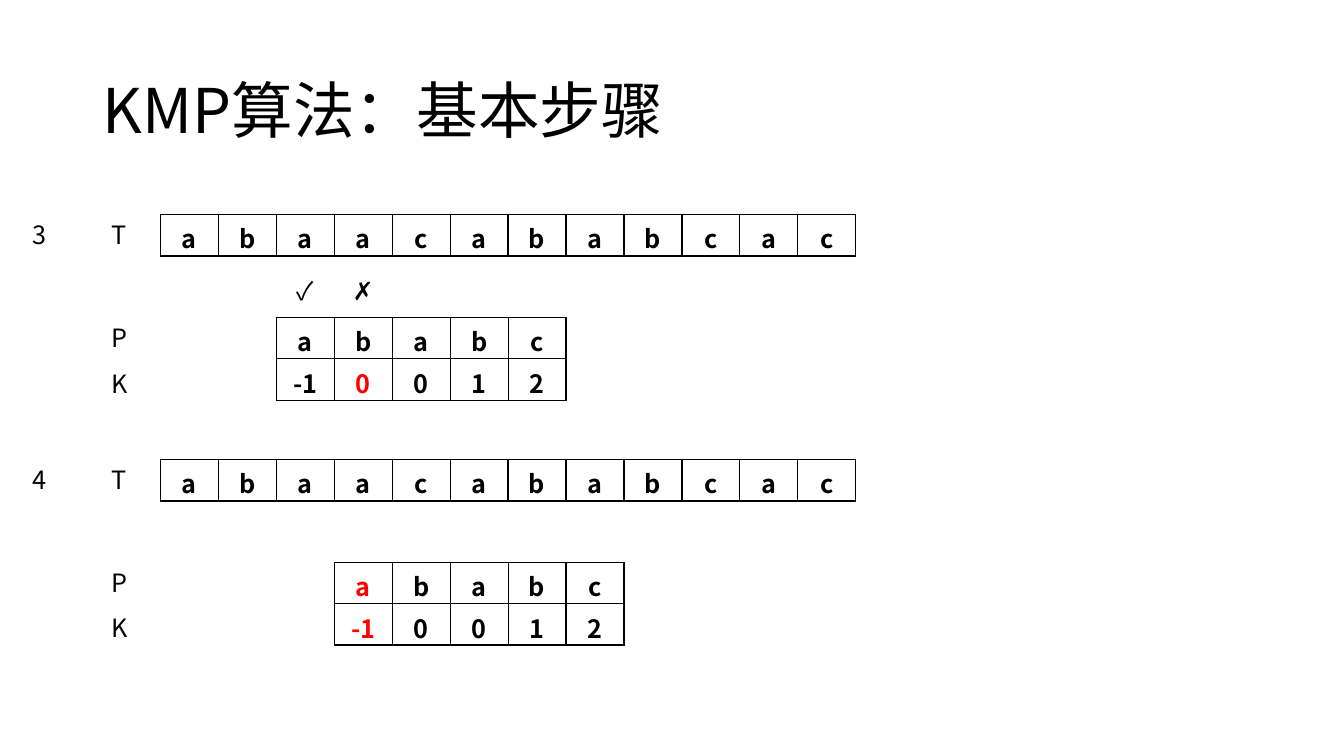
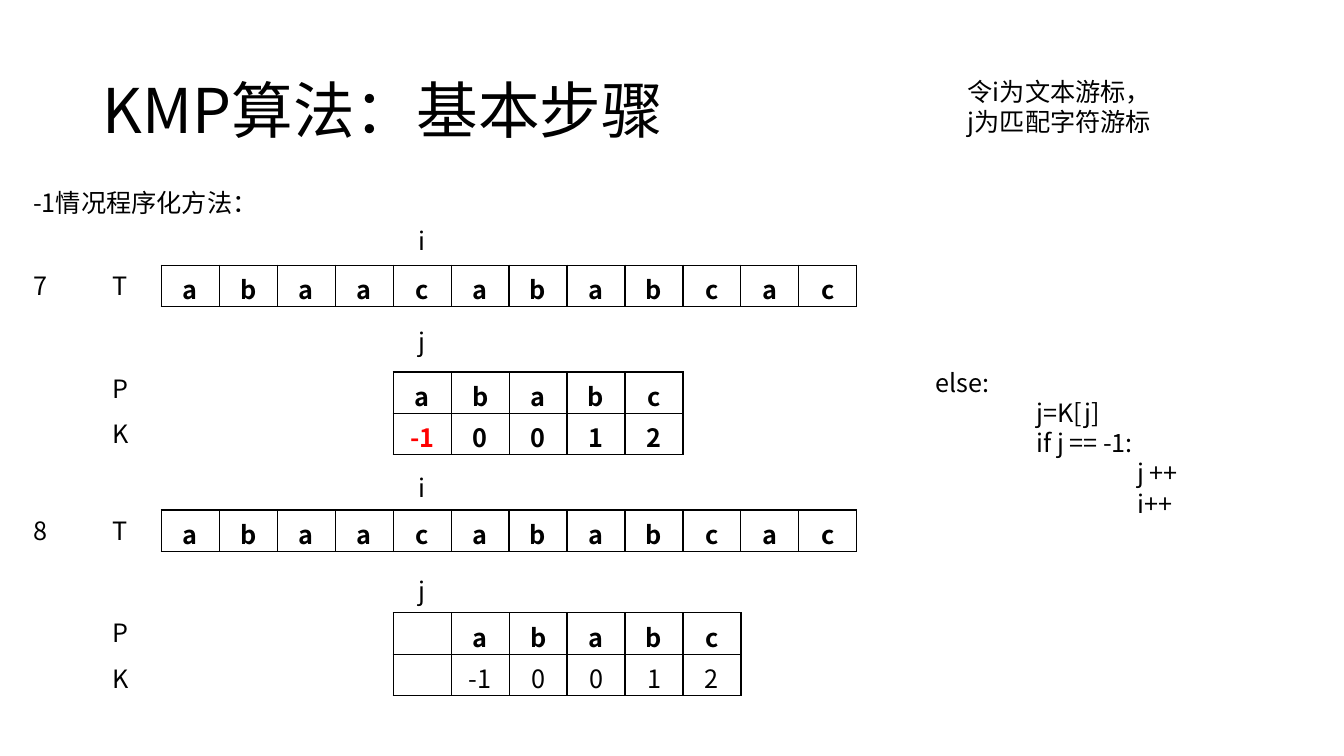
import pptx
import pptx.dml.color
import pptx.enum.text
import pptx.oxml.ns
import pptx.util
from lxml import etree

Inches = pptx.util.Inches
Pt = pptx.util.Pt
ALIGN = pptx.enum.text.PP_ALIGN
ANCHOR = pptx.enum.text.MSO_ANCHOR

FONT = "Noto Sans CJK SC"
BLACK, WHITE, RED = "000000", "FFFFFF", "FF0000"
TITLE = "KMP算法：基本步骤"
TEXT = "abaacababcac"
PATTERN = list("ababc")
NEXT = ["-1", "0", "0", "1", "2"]
COL_W, ROW_H = 0.575, 0.41
LABEL_W, LABEL_H = 0.57, 0.4
GRID_DX, LABEL_DX = 1.37, 0.79
PATTERN_DY, NEXT_DY = 1.02, 1.47


def rgb(color):
    return pptx.dml.color.RGBColor.from_string(color)


def sub(parent, tag, **attrs):
    return etree.SubElement(parent, pptx.oxml.ns.qn(tag), **attrs)


def add_run(p, text, size=18, color=BLACK, bold=False):
    r = p.add_run()
    r.text = text
    r.font.size = Pt(size)
    r.font.bold = bold
    r.font.color.rgb = rgb(color)
    r.font.name = FONT
    for tag in ("a:ea", "a:cs"):
        sub(r.font._element, tag, typeface=FONT)


def add_text(s, text, x, y, w, h, align=ALIGN.LEFT, anchor=ANCHOR.TOP,
             spacing=None, indents=(), **font):
    sp = s.shapes.add_textbox(Inches(x), Inches(y), Inches(w), Inches(h))
    tf = sp.text_frame
    tf.word_wrap = True
    tf.vertical_anchor = anchor
    for i, line in enumerate(text.split("\n")):
        p = tf.paragraphs[0] if i == 0 else tf.add_paragraph()
        p.alignment = align
        p.line_spacing = spacing
        if indents:
            p._p.get_or_add_pPr().set("marL", str(Inches(indents[i])))
        add_run(p, line, **font)


def add_borders(cell):
    tcPr = cell._tc.get_or_add_tcPr()
    for side in ("a:lnL", "a:lnR", "a:lnT", "a:lnB"):
        ln = sub(tcPr, side, w=str(Pt(1)))
        sub(sub(ln, "a:solidFill"), "a:srgbClr", val=BLACK)


def add_grid(s, x, y, rows, red=(), plain_rows=()):
    n_rows, n_cols = len(rows), len(rows[0])
    table = s.shapes.add_table(n_rows, n_cols, Inches(x), Inches(y),
                               Inches(n_cols * COL_W), Inches(n_rows * ROW_H)).table
    table.first_row = table.horz_banding = False
    for col in table.columns:
        col.width = Inches(COL_W)
    for i, values in enumerate(rows):
        table.rows[i].height = Inches(ROW_H)
        for j, value in enumerate(values):
            cell = table.cell(i, j)
            add_borders(cell)
            cell.fill.solid()
            cell.fill.fore_color.rgb = rgb(WHITE)
            p = cell.text_frame.paragraphs[0]
            p.alignment = ALIGN.CENTER
            if value:
                add_run(p, value, color=RED if (i, j) in red else BLACK,
                        bold=i not in plain_rows)


def add_step(s, x, y, number, shift, lead=0, red=(), plain_rows=(), marks=(),
             pattern_dy=PATTERN_DY):
    grid_x = x + GRID_DX
    for label, dx, dy in ((number, 0, 0), ("T", LABEL_DX, 0),
                          ("P", LABEL_DX, PATTERN_DY), ("K", LABEL_DX, NEXT_DY)):
        add_text(s, label, x + dx, y + dy, LABEL_W, LABEL_H)
    add_grid(s, grid_x, y, [list(TEXT)])
    blanks = [""] * lead
    add_grid(s, grid_x + shift * COL_W, y + pattern_dy,
             [blanks + PATTERN, blanks + NEXT], red, plain_rows)
    for mark, col, dy in marks:
        add_text(s, mark, grid_x + col * COL_W, y + dy, COL_W, LABEL_H,
                 align=ALIGN.CENTER)


def add_slide(prs):
    s = prs.slides.add_slide(prs.slide_layouts[6])
    add_text(s, TITLE, 0.92, 0.4, 11.5, 1.45, anchor=ANCHOR.MIDDLE,
             spacing=0.9, size=44)
    return s


def build_match_slide(prs):
    s = add_slide(prs)
    add_step(s, 0.22, 2.13, "3", 2, red={(1, 1)},
             marks=(("✓", 2, 0.55), ("✗", 3, 0.55)))
    add_step(s, 0.22, 4.56, "4", 3, red={(0, 0), (1, 0)})


def build_cursor_slide(prs):
    s = add_slide(prs)
    add_text(s, "-1情况程序化方法：", 0.23, 1.81, 4.02, 0.4)
    add_text(s, "令i为文本游标，\nj为匹配字符游标", 9.5, 0.71, 3.06, 0.71)
    add_text(s, "else:\nj=K[j]\nif j == -1:\nj ++\ni++", 9.18, 3.59, 3.14, 1.62,
             indents=(0, 1, 1, 2, 2))
    add_step(s, 0.23, 2.63, "7", 4, red={(1, 0)}, pattern_dy=1.06,
             marks=(("i", 4, -0.44), ("j", 4, 0.56)))
    add_step(s, 0.23, 5.06, "8", 4, lead=1, plain_rows={1},
             marks=(("i", 4, -0.42), ("j", 4, 0.6)))


def main():
    prs = pptx.Presentation()
    prs.slide_width, prs.slide_height = Inches(13.33), Inches(7.5)
    build_match_slide(prs)
    build_cursor_slide(prs)
    prs.save("out.pptx")


if __name__ == "__main__":
    main()
